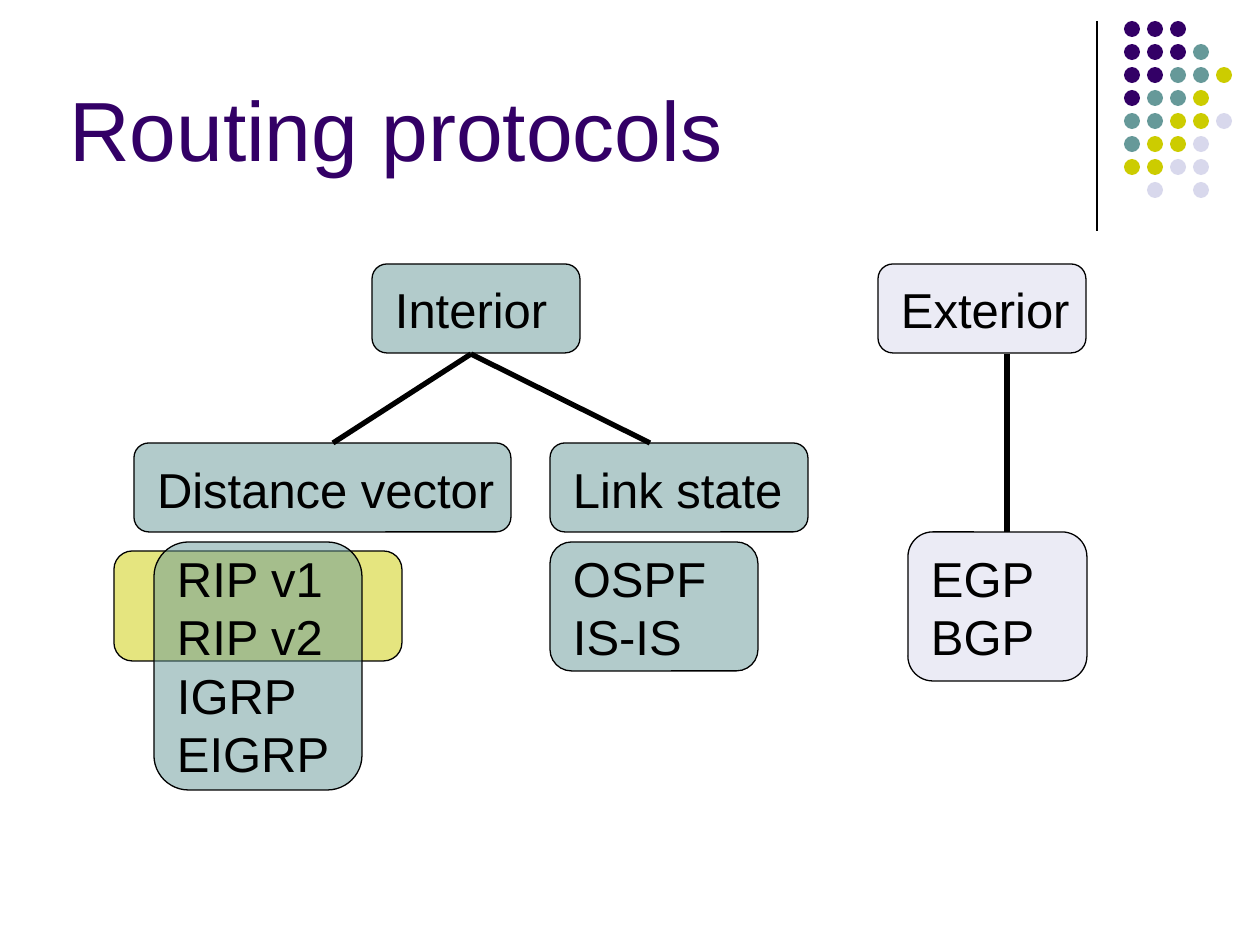
"""Build the routing protocols slide: a tree of interior and exterior protocols."""
from typing import NamedTuple

from lxml.etree import SubElement
from pptx import Presentation
from pptx.dml.color import RGBColor
from pptx.enum.shapes import MSO_CONNECTOR, MSO_SHAPE as Shape
from pptx.enum.text import MSO_ANCHOR as Anchor
from pptx.oxml.ns import qn
from pptx.util import Emu, Pt

PX_PER_INCH = 126
BLACK = RGBColor(0x00, 0x00, 0x00)
PURPLE = RGBColor(0x33, 0x00, 0x66)
TEAL = RGBColor(0x66, 0x99, 0x99)
YELLOW = RGBColor(0xCC, 0xCC, 0x00)
LILAC = RGBColor(0xD8, 0xD8, 0xEC)

DOT_COLORS = {"P": PURPLE, "T": TEAL, "Y": YELLOW, "L": LILAC}
DOT_ROWS = ("PPP", "PPPT", "PPTTY", "PTTY", "TTYYL", "TYYL", "YYLL", " L L")
DOT_LEFT, DOT_TOP, DOT_PITCH, DOT_SIZE = 1124, 21, 23, 16
TEXT_INDENT = 10


class Card(NamedTuple):
    x: int
    y: int
    w: int
    h: int
    fill: RGBColor
    text: str = ""
    text_w: int = 277
    text_h: int = 72
    text_dy: int = 10


class Line(NamedTuple):
    x1: int
    y1: int
    x2: int
    y2: int
    weight: float = 3


CARDS = (
    Card(114, 551, 288, 110, YELLOW),
    Card(154, 542, 208, 248, TEAL, "RIP v1\nRIP v2\nIGRP\nEIGRP", 189, 248, 0),
    Card(550, 542, 208, 129, TEAL, "OSPF\nIS-IS", text_h=130, text_dy=0),
    Card(908, 532, 179, 149, LILAC, "EGP\nBGP", text_h=130),
    Card(550, 443, 258, 89, TEAL, "Link state"),
    Card(134, 443, 377, 89, TEAL, "Distance vector", 407),
    Card(878, 264, 208, 89, LILAC, "Exterior"),
    Card(372, 264, 208, 89, TEAL, "Interior"),
)
LINES = (
    Line(1097, 21, 1097, 231, 0.75),
    Line(1007, 354, 1007, 532),
    Line(471, 354, 333, 443),
    Line(471, 354, 650, 443),
)


def px(n: int) -> Emu:
    return Emu(round(n * 914400 / PX_PER_INCH))


def add_text(s, text: str, x: int, y: int, w: int, h: int, *, size: int = 28,
             color: RGBColor = BLACK, anchor: Anchor = Anchor.TOP,
             inset: int = 13, leading: float | None = 33.5) -> None:
    tf = s.shapes.add_textbox(px(x), px(y), px(w), px(h)).text_frame
    tf.word_wrap = True
    tf.vertical_anchor = anchor
    tf.margin_left = tf.margin_right = px(inset)
    p = tf.paragraphs[0]
    p.text = text.replace("\n", "\v")
    if leading:
        p.line_spacing = Pt(leading)
    for r in p.runs:
        r.font.name, r.font.size = "Arial", Pt(size)
        r.font.color.rgb = color


def add_filled(s, kind: Shape, x: int, y: int, w: int, h: int, fill: RGBColor):
    sp = s.shapes.add_shape(kind, px(x), px(y), px(w), px(h))
    sp.shadow.inherit = False
    sp.fill.solid()
    sp.fill.fore_color.rgb = fill
    return sp


def add_dots(s) -> None:
    for row, codes in enumerate(DOT_ROWS):
        for col, code in enumerate(codes):
            if code in DOT_COLORS:
                dot = add_filled(s, Shape.OVAL, DOT_LEFT + col * DOT_PITCH,
                                 DOT_TOP + row * DOT_PITCH, DOT_SIZE, DOT_SIZE,
                                 DOT_COLORS[code])
                dot.line.fill.background()


def add_card(s, c: Card) -> None:
    sp = add_filled(s, Shape.ROUNDED_RECTANGLE, c.x, c.y, c.w, c.h, c.fill)
    sp.line.color.rgb = BLACK
    sp.line.width = Pt(0.75)
    color = sp.element.spPr.find(qn("a:solidFill"))[0]
    SubElement(color, qn("a:alpha"), val="50000")
    if c.text:
        add_text(s, c.text, c.x + TEXT_INDENT, c.y + c.text_dy, c.text_w, c.text_h)


def add_line(s, ln: Line) -> None:
    cxn = s.shapes.add_connector(MSO_CONNECTOR.STRAIGHT, px(ln.x1), px(ln.y1),
                                 px(ln.x2), px(ln.y2))
    cxn.line.color.rgb = BLACK
    cxn.line.width = Pt(ln.weight)
    SubElement(cxn.element.spPr, qn("a:effectLst"))


def main() -> None:
    prs = Presentation()
    prs.slide_width, prs.slide_height = px(1260), px(945)
    s = prs.slides.add_slide(prs.slide_layouts[6])
    add_dots(s)
    add_text(s, "Routing protocols", 69, 49, 1040, 136, size=48, color=PURPLE,
             anchor=Anchor.BOTTOM, inset=0, leading=None)
    for card in CARDS:
        add_card(s, card)
    for line in LINES:
        add_line(s, line)
    prs.save("out.pptx")


if __name__ == "__main__":
    main()
